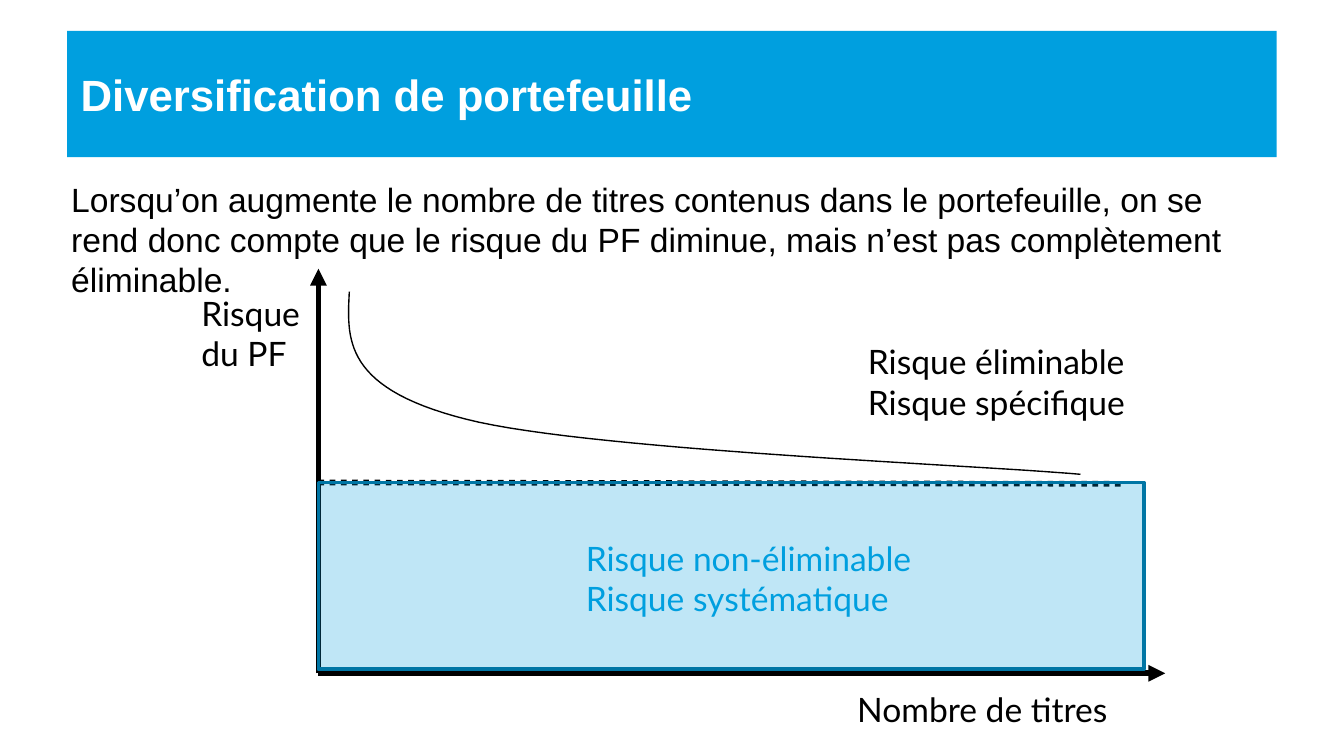
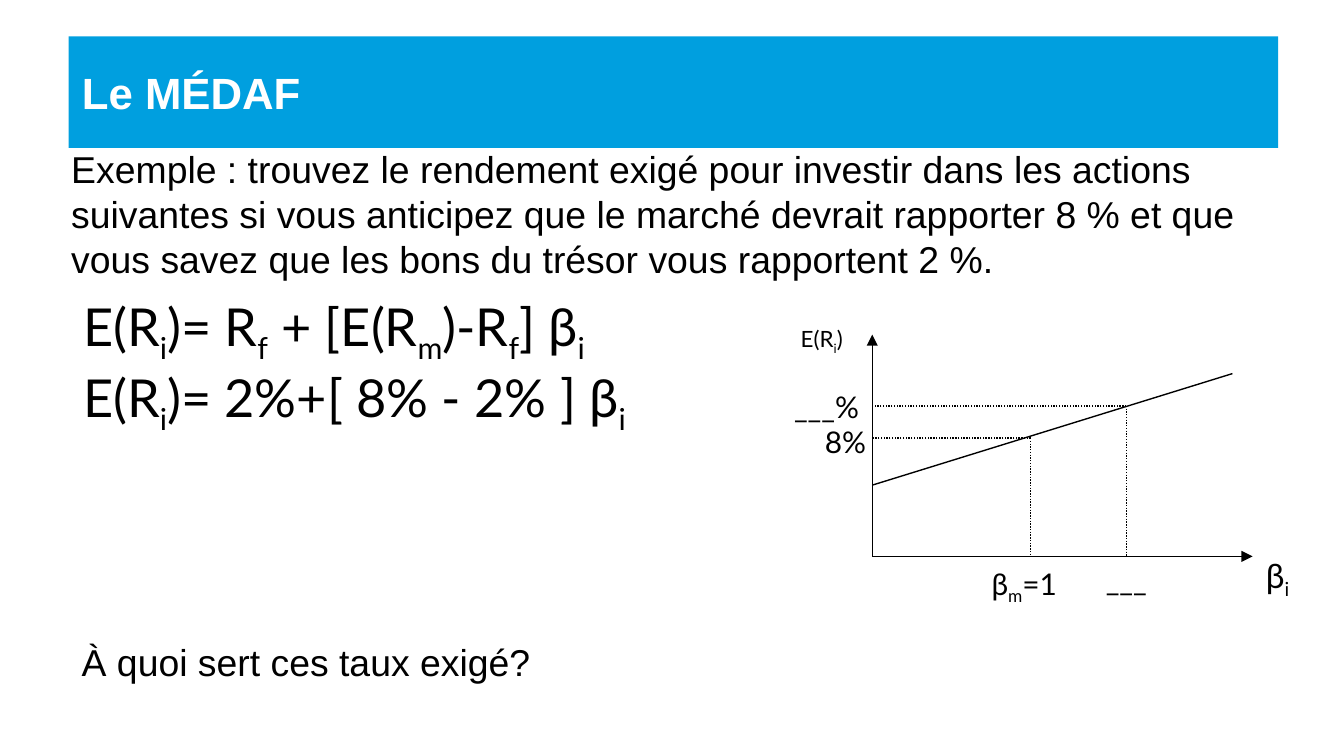
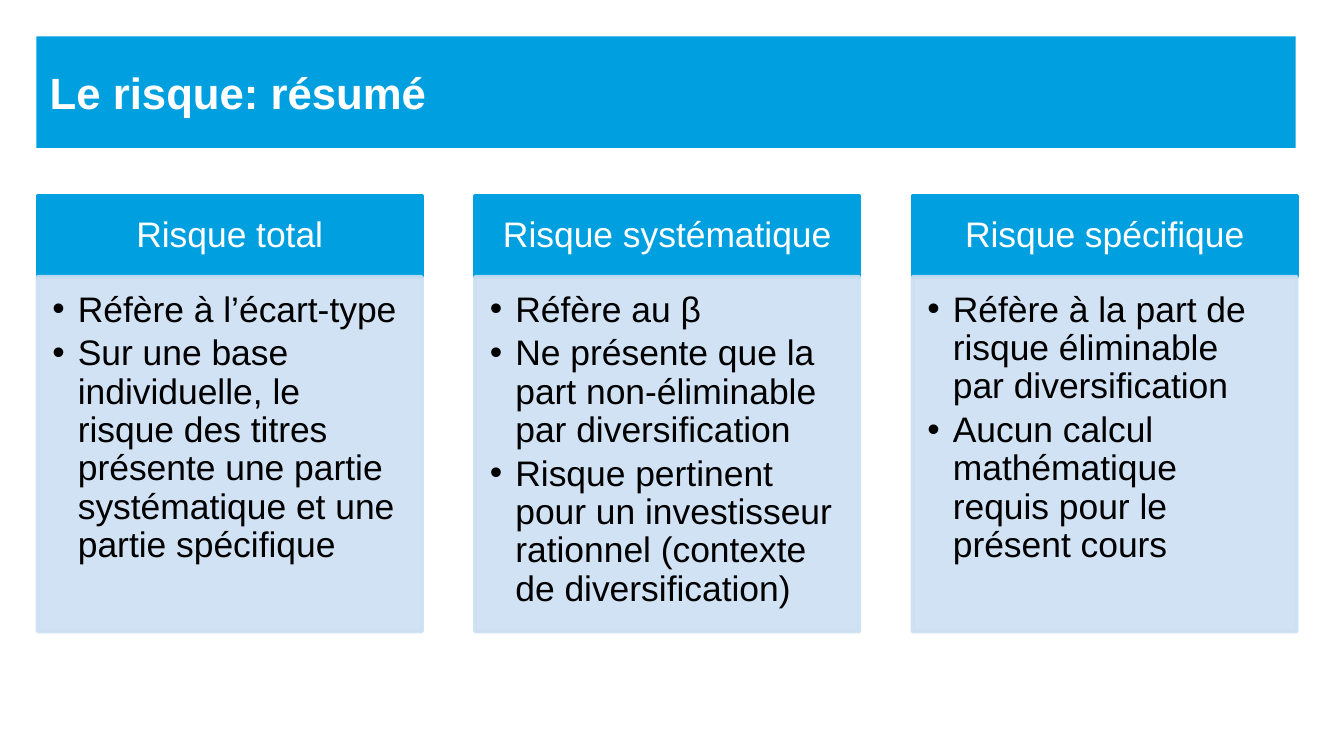
from lxml import etree
from pptx import Presentation
from pptx.dml.color import RGBColor
from pptx.enum.dml import MSO_LINE
from pptx.enum.shapes import MSO_CONNECTOR, MSO_SHAPE
from pptx.enum.text import MSO_ANCHOR, MSO_AUTO_SIZE, PP_ALIGN
from pptx.oxml.ns import qn
from pptx.util import Inches, Pt

STRAIGHT = MSO_CONNECTOR.STRAIGHT
RECTANGLE = MSO_SHAPE.RECTANGLE
DOTTED = MSO_LINE.ROUND_DOT
TOP, MIDDLE = MSO_ANCHOR.TOP, MSO_ANCHOR.MIDDLE
LEFT, CENTER = PP_ALIGN.LEFT, PP_ALIGN.CENTER
GROW, FIXED = MSO_AUTO_SIZE.SHAPE_TO_FIT_TEXT, MSO_AUTO_SIZE.NONE

COLORS = {
    "blue": "009FDF",
    "dark_blue": "0076A5",
    "pale_blue": "CCDFF3",
    "white": "FFFFFF",
    "black": "000000",
}
HEADING_FONT = "Arial"
LABEL_FONT = "Lato"
TITLE_ONLY, TITLE_AND_BODY = 5, 1


def rgb(name):
    return RGBColor.from_string(COLORS[name])


def place(sp, box):
    sp.left, sp.top, sp.width, sp.height = (Inches(v) for v in box)


def set_alpha(fill, percent):
    color = fill._xPr.find(qn("a:solidFill"))[0]
    etree.SubElement(color, qn("a:alpha")).set("val", str(percent * 1000))


def set_bullet(p, indent):
    pPr = p._p.get_or_add_pPr()
    pPr.set("marL", str(Inches(indent)))
    pPr.set("indent", str(-Inches(indent)))
    if indent:
        etree.SubElement(pPr, qn("a:buFont")).set("typeface", "Arial")
        etree.SubElement(pPr, qn("a:buChar")).set("char", "•")
    else:
        etree.SubElement(pPr, qn("a:buNone"))


def write(tf, text, size=18, font=LABEL_FONT, color="black", bold=False, align=LEFT,
          anchor=TOP, wrap=True, auto_size=FIXED, insets=None, indent=0,
          level=0, line_spacing=None, space_after=None):
    """Lines are split on newlines; text between tildes is subscript."""
    tf.word_wrap = wrap
    tf.auto_size = auto_size
    tf.vertical_anchor = anchor
    if insets:
        tf.margin_left, tf.margin_top, tf.margin_right, tf.margin_bottom = (
            Inches(v) for v in insets)
    for i, line in enumerate(text.split("\n")):
        p = tf.add_paragraph() if i else tf.paragraphs[0]
        set_bullet(p, indent)
        p.alignment = align
        p.level = level
        p.space_before = Pt(0)
        if line_spacing:
            p.line_spacing = line_spacing
        if space_after:
            p.space_after = Pt(space_after)
        for j, piece in enumerate(line.split("~")):
            if not piece:
                continue
            r = p.add_run()
            r.text = piece
            r.font.size = Pt(size)
            r.font.name = font
            r.font.bold = bold
            r.font.color.rgb = rgb(color)
            if j % 2:
                r.font._element.set("baseline", "-25000")


def add_slide(prs, layout, title, title_box):
    s = prs.slides.add_slide(prs.slide_layouts[layout])
    sp = s.shapes.title
    place(sp, title_box)
    sp.fill.solid()
    sp.fill.fore_color.rgb = rgb("blue")
    write(sp.text_frame, title, size=23.4, font=HEADING_FONT, color="white",
          bold=True, anchor=MIDDLE)
    return s


def add_body(s, text, box, size):
    sp = s.placeholders[1]
    place(sp, box)
    write(sp.text_frame, text, size=size, font=HEADING_FONT)


def add_text(s, text, box, **fmt):
    sp = s.shapes.add_textbox(*(Inches(v) for v in box))
    write(sp.text_frame, text, **fmt)


def add_label(s, text, box, wrap=False, **fmt):
    add_text(s, text, box, wrap=wrap, auto_size=GROW, **fmt)


def add_line(s, start, end, width=0.75, dash=None, arrow=False):
    line = s.shapes.add_connector(STRAIGHT, *(Inches(v) for v in start + end))
    line.line.color.rgb = rgb("black")
    line.line.width = Pt(width)
    if dash:
        line.line.dash_style = dash
    if arrow:
        etree.SubElement(line.line._get_or_add_ln(), qn("a:tailEnd")).set("type", "triangle")
    etree.SubElement(line._element.spPr, qn("a:effectLst"))


def add_axes(s, origin, top, right, width):
    x, y = origin
    add_line(s, origin, (x, top), width, arrow=True)
    add_line(s, origin, (right, y), width, arrow=True)


def add_box(s, box, fill, line, fill_alpha=None, line_alpha=None):
    sp = s.shapes.add_shape(RECTANGLE, *(Inches(v) for v in box))
    sp.shadow.inherit = False
    sp.fill.solid()
    sp.fill.fore_color.rgb = rgb(fill)
    sp.line.color.rgb = rgb(line)
    sp.line.width = Pt(2)
    if fill_alpha:
        set_alpha(sp.fill, fill_alpha)
    if line_alpha:
        set_alpha(sp.line.fill, line_alpha)
    return sp


def bezier(a, b, c, d, steps=30):
    for i in range(1, steps + 1):
        t = i / steps
        u = 1 - t
        yield tuple(u**3 * a[k] + 3 * u * u * t * b[k] + 3 * u * t * t * c[k] + t**3 * d[k]
                    for k in (0, 1))


def add_curve(s, start, *segments):
    points = [start]
    for segment in segments:
        points.extend(bezier(points[-1], *segment))
    emu = [(Inches(x), Inches(y)) for x, y in points]
    builder = s.shapes.build_freeform(*emu[0])
    builder.add_line_segments(emu[1:], close=False)
    sp = builder.convert_to_shape()
    sp.shadow.inherit = False
    sp.fill.background()
    sp.line.color.rgb = rgb("black")
    sp.line.width = Pt(0.75)


def add_card(s, left, heading, points):
    width = 2.86
    head = add_box(s, (left, 1.46, width, 0.6), "blue", "blue")
    write(head.text_frame, heading, size=19, font=HEADING_FONT, color="white",
          align=CENTER, anchor=MIDDLE, insets=(0.15, 0.08, 0.15, 0.08), line_spacing=0.9)
    panel = add_box(s, (left, 2.06, width, 2.64), "pale_blue", "pale_blue", 90, 90)
    write(panel.text_frame, "\n".join(points), size=19, font=HEADING_FONT,
          insets=(0.11, 0.11, 0.15, 0.17), indent=0.19, level=1,
          line_spacing=0.9, space_after=2.85)


def build_diversification(prs):
    s = add_slide(prs, TITLE_AND_BODY, "Diversification de portefeuille", (0.5, 0.23, 9, 0.94))
    add_body(s, "Lorsqu’on augmente le nombre de titres contenus dans le portefeuille, "
                "on se rend donc compte que le risque du PF diminue, mais n’est pas "
                "complètement éliminable.", (0.43, 1.28, 9.13, 3.84), 18)
    add_axes(s, (2.37, 5.01), 2, 8.67, 3)
    add_label(s, "Risque\ndu PF", (1.4, 2.13, 0.94, 0.71))
    add_label(s, "Nombre de titres", (6.28, 5.08, 2.08, 0.4))
    add_line(s, (2.37, 3.59), (8.36, 3.6), 3, DOTTED)
    add_label(s, "Risque éliminable\nRisque spécifique", (6.36, 2.49, 2.14, 0.71))
    add_label(s, "Risque non-éliminable\nRisque systématique", (4.26, 3.95, 2.65, 0.71),
              color="blue")
    add_curve(s, (2.6, 2.17),
              ((2.58, 2.53), (2.56, 2.89), (3.47, 3.12)),
              ((4.37, 3.35), (7.27, 3.46), (8.04, 3.53)))
    add_box(s, (2.37, 3.59, 6.14, 1.39), "blue", "dark_blue", fill_alpha=25)


def build_medaf(prs):
    s = add_slide(prs, TITLE_AND_BODY, "Le MÉDAF", (0.51, 0.27, 9, 0.83))
    add_body(s, "Exemple : trouvez le rendement exigé pour investir dans les actions "
                "suivantes si vous anticipez que le marché devrait rapporter 8 % et que "
                "vous savez que les bons du trésor vous rapportent 2 %.",
             (0.43, 1.04, 9.21, 1.35), 20)
    add_label(s, "E(R~i~)= R~f~ + [E(R~m~)-R~f~] β~i~", (0.52, 2.14, 4.57, 0.57),
              wrap=True, size=28)
    add_label(s, "E(R~i~)= 2%+[ 8% - 2% ] β~i~", (0.52, 2.67, 5.12, 0.57),
              wrap=True, size=28)

    x0, y0 = origin = (6.49, 4.14)
    add_axes(s, origin, 2.49, 9.32, 0.75)
    add_line(s, (x0, 3.61), (9.17, 2.78))
    for x, y in ((7.67, 3.26), (8.38, 3.02)):
        add_line(s, (x, y), (x, y0), dash=DOTTED)
        add_line(s, (x, y), (x0, y), dash=DOTTED)
    add_label(s, "β~i~", (9.32, 4.08, 0.39, 0.4))
    add_label(s, "E(R~i~)", (5.86, 2.37, 0.56, 0.3), size=12)
    add_label(s, "β~m~=1", (7.28, 4.16, 0.74, 0.37), size=16)
    add_label(s, "___", (8.13, 4.13, 0.57, 0.37), size=16)
    add_label(s, "8%", (6.04, 3.1, 0.56, 0.37), wrap=True, size=16)
    add_label(s, "___%", (5.81, 2.84, 0.81, 0.37), wrap=True, size=16)
    add_text(s, "À quoi sert ces taux exigé?", (0.51, 4.71, 9.37, 0.57),
             size=20, font=HEADING_FONT)


def build_summary(prs):
    s = add_slide(prs, TITLE_ONLY, "Le risque: résumé", (0.27, 0.27, 9.37, 0.83))
    cards = (
        ("Risque total", (
            "Réfère à l’écart-type",
            "Sur une base individuelle, le risque des titres présente une partie "
            "systématique et une partie spécifique")),
        ("Risque systématique", (
            "Réfère au β",
            "Ne présente que la part non-éliminable par diversification",
            "Risque pertinent pour un investisseur rationnel (contexte de "
            "diversification)")),
        ("Risque spécifique", (
            "Réfère à la part de risque éliminable par diversification",
            "Aucun calcul mathématique requis pour le présent cours")),
    )
    first, last = 0.28, 6.79
    pitch = (last - first) / (len(cards) - 1)
    for i, (heading, points) in enumerate(cards):
        add_card(s, first + pitch * i, heading, points)


def main():
    prs = Presentation()
    prs.slide_width = Inches(10)
    prs.slide_height = prs.slide_width * 9 // 16
    build_diversification(prs)
    build_medaf(prs)
    build_summary(prs)
    prs.save("out.pptx")


if __name__ == "__main__":
    main()
